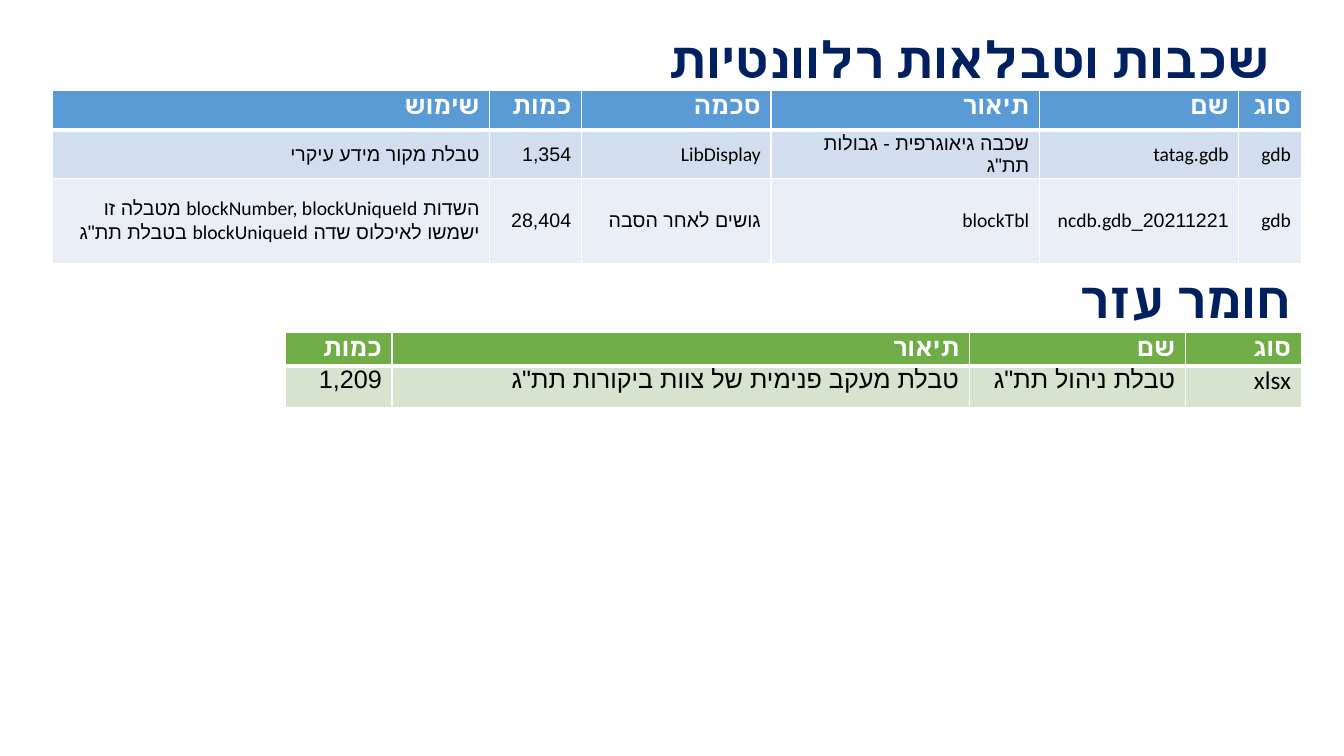
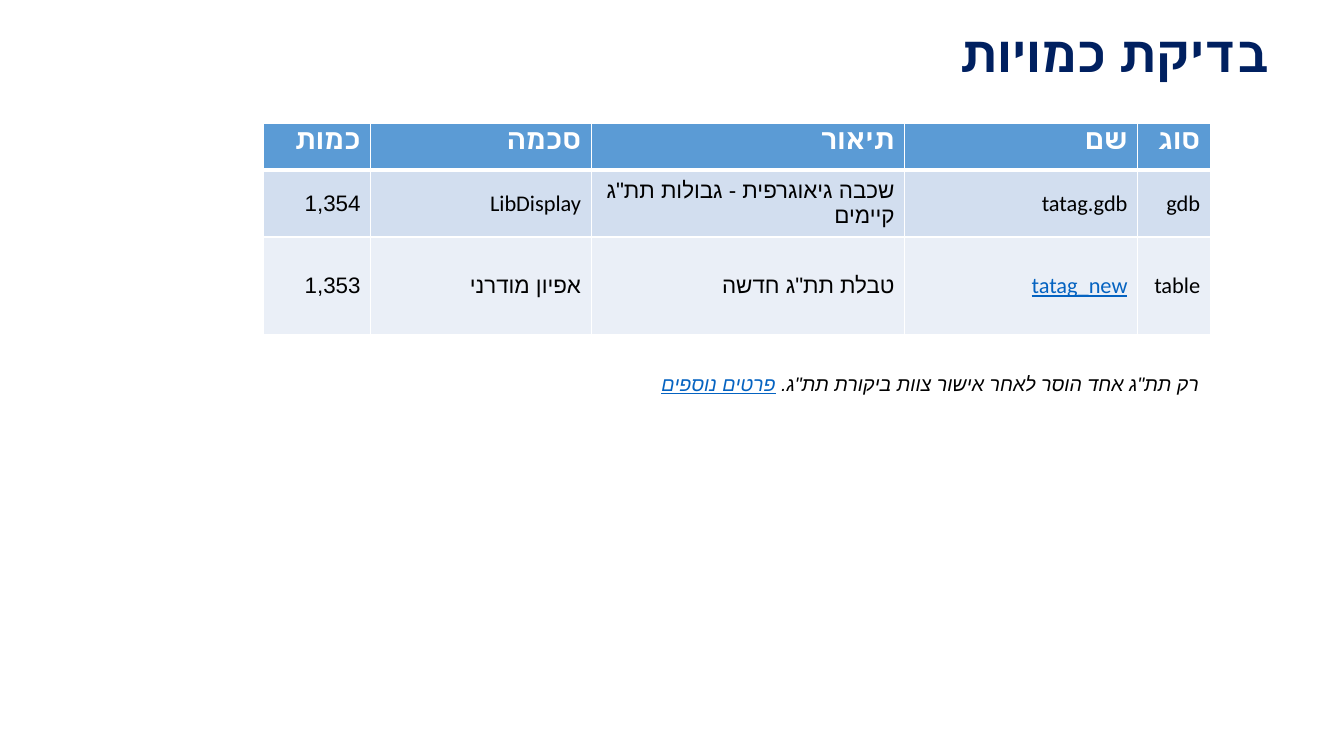
from lxml import etree
from pptx import Presentation
from pptx import util as u
from pptx.dml import color
from pptx.enum import text
from pptx.oxml import ns

WHITE = color.RGBColor(0xFF, 0xFF, 0xFF)
BLACK = color.RGBColor(0x00, 0x00, 0x00)
NAVY = color.RGBColor(0x00, 0x20, 0x60)
LINK_BLUE = color.RGBColor(0x05, 0x63, 0xC1)
BLUE = color.RGBColor(0x5B, 0x9B, 0xD5)
BLUE_BANDS = (color.RGBColor(0xD2, 0xDE, 0xEF), color.RGBColor(0xEA, 0xEF, 0xF7))
GREEN = color.RGBColor(0x70, 0xAD, 0x47)
GREEN_BANDS = (color.RGBColor(0xD5, 0xE3, 0xCF),)

# Run formats; "script" is the typeface for Hebrew letters
HEADING = dict(size=u.Pt(36), bold=True, rgb=NAVY, script="Calibri")
HEADER = dict(bold=True, rgb=WHITE, script="Calibri")
BODY = dict(bold=False, rgb=BLACK, script="Arial")
NOTE = dict(BODY, size=u.Pt(14), italic=True)
LINK = dict(rgb=LINK_BLUE, underline=True)


class Deck:
    """Holds the shared style and the slide being built."""

    def __init__(self):
        self.prs = Presentation()
        self.prs.slide_width, self.prs.slide_height = u.Cm(33.87), u.Cm(19.05)
        self.slide = None

    def new_slide(self, title, top):
        self.slide = self.prs.slides.add_slide(self.prs.slide_layouts[5])
        self.heading(title, 1.57, top, self.slide.shapes.title)

    def add_runs(self, paragraph, runs, style, rtl=True):
        """Fill a right-aligned paragraph with (words, extra format) runs."""
        paragraph.alignment = text.PP_ALIGN.RIGHT
        if rtl:
            paragraph._p.get_or_add_pPr().set("rtl", "1")
        for words, extra in runs:
            run = paragraph.add_run()
            run.text = words
            run.font.name = "Calibri"
            for key, value in {**style, **extra}.items():
                if key == "rgb":
                    run.font.color.rgb = value
                elif key == "script":
                    etree.SubElement(run._r.get_or_add_rPr(), ns.qn("a:cs"), typeface=value)
                else:
                    setattr(run.font, key, value)

    def box(self, left, top, width, height):
        return self.slide.shapes.add_textbox(*map(u.Cm, (left, top, width, height)))

    def heading(self, words, left, top, holder=None):
        width, height = 30.68, 1.73
        holder = holder or self.box(left, top, width, height)
        holder.left, holder.top = u.Cm(left), u.Cm(top)
        holder.width, holder.height = u.Cm(width), u.Cm(height)
        frame = holder.text_frame
        for key, value in dict(word_wrap=True, auto_size=text.MSO_AUTO_SIZE.NONE,
                               vertical_anchor=text.MSO_ANCHOR.MIDDLE).items():
            setattr(frame, key, value)
        frame.paragraphs[0].line_spacing = 0.9
        self.add_runs(frame.paragraphs[0], [(words, {})], HEADING)

    def note(self, runs, left, top, width, height):
        frame = self.box(left, top, width, height).text_frame
        frame.word_wrap = True
        self.add_runs(frame.paragraphs[0], runs, NOTE)

    def borders(self, cell, row):
        # The rule between header and body is thicker than the others
        thick = {0: "B", 1: "T"}.get(row)
        for side in "LRTB":
            line = etree.SubElement(cell._tc.get_or_add_tcPr(), ns.qn("a:ln" + side),
                                    w=str(u.Pt(3 if side == thick else 1)))
            fill = etree.SubElement(line, ns.qn("a:solidFill"))
            etree.SubElement(fill, ns.qn("a:srgbClr"), val=str(WHITE))

    def table(self, left, top, widths, heights, rows, sizes,
              head=BLUE, bands=BLUE_BANDS, anchor=text.MSO_ANCHOR.MIDDLE):
        grid = self.slide.shapes.add_table(
            len(rows), len(widths),
            *map(u.Cm, (left, top, sum(widths), sum(heights)))).table
        for column, width in zip(grid.columns, widths):
            column.width = u.Cm(width)
        for r, (values, height) in enumerate(zip(rows, heights)):
            grid.rows[r].height = u.Cm(height)
            style = dict(BODY if r else HEADER, size=u.Pt(sizes[min(r, 1)]))
            for c, value in enumerate(values):
                cell = grid.cell(r, c)
                cell.margin_top = cell.margin_bottom = 0
                cell.vertical_anchor = anchor if r else text.MSO_ANCHOR.TOP
                self.borders(cell, r)
                cell.fill.solid()
                cell.fill.fore_color.rgb = bands[(r - 1) % len(bands)] if r else head
                run = value if isinstance(value, tuple) else (value, {})
                # Headers and the type column run left to right
                self.add_runs(cell.text_frame.paragraphs[0], [run], style,
                              rtl=r > 0 and c < len(values) - 1)


def main():
    deck = Deck()

    # Layers and tables
    deck.new_slide("שכבות וטבלאות רלוונטיות", 0.69)
    deck.table(1.32, 2.29, (11.02, 2.31, 4.78, 6.76, 5.03, 1.57), (0.99, 1.22, 2.13), [
        ["שימוש", "כמות", "סכמה", "תיאור", "שם", "סוג"],
        ["טבלת מקור מידע עיקרי", "1,354", "LibDisplay",
         'שכבה גיאוגרפית - גבולות תת"ג', "tatag.gdb", "gdb"],
        ["השדות blockNumber, blockUniqueId מטבלה זו "
         'ישמשו לאיכלוס שדה blockUniqueId בטבלת תת"ג',
         "28,404", "גושים לאחר הסבה", "blockTbl", "20211221_ncdb.gdb", "gdb"],
    ], sizes=(18, 14))

    # Supporting material
    deck.heading("חומר עזר", 2.11, 6.76)
    deck.table(7.19, 8.38, (2.69, 14.55, 5.44, 2.92), (0.84, 1.04), [
        ["כמות", "תיאור", "שם", "סוג"],
        ["1,209", 'טבלת מעקב פנימית של צוות ביקורות תת"ג', 'טבלת ניהול תת"ג', "xlsx"],
    ], sizes=(18, 18), head=GREEN, bands=GREEN_BANDS, anchor=text.MSO_ANCHOR.TOP)

    # Quantity check
    deck.new_slide("בדיקת כמויות", 0.56)
    deck.table(6.65, 3.1, (2.69, 5.56, 7.9, 5.87, 1.83), (1.19, 1.68, 2.46), [
        ["כמות", "סכמה", "תיאור", "שם", "סוג"],
        ["1,354", "LibDisplay", 'שכבה גיאוגרפית - גבולות תת"ג קיימים', "tatag.gdb", "gdb"],
        ["1,353", "אפיון מודרני", 'טבלת תת"ג חדשה', ("tatag_new", LINK), "table"],
    ], sizes=(20, 16))
    deck.note([('רק תת"ג אחד הוסר לאחר אישור צוות ביקורת תת"ג. ', {}),
               ("פרטים נוספים", LINK)], 15.04, 9.25, 15.44, 0.86)

    deck.prs.save("out.pptx")


if __name__ == "__main__":
    main()
